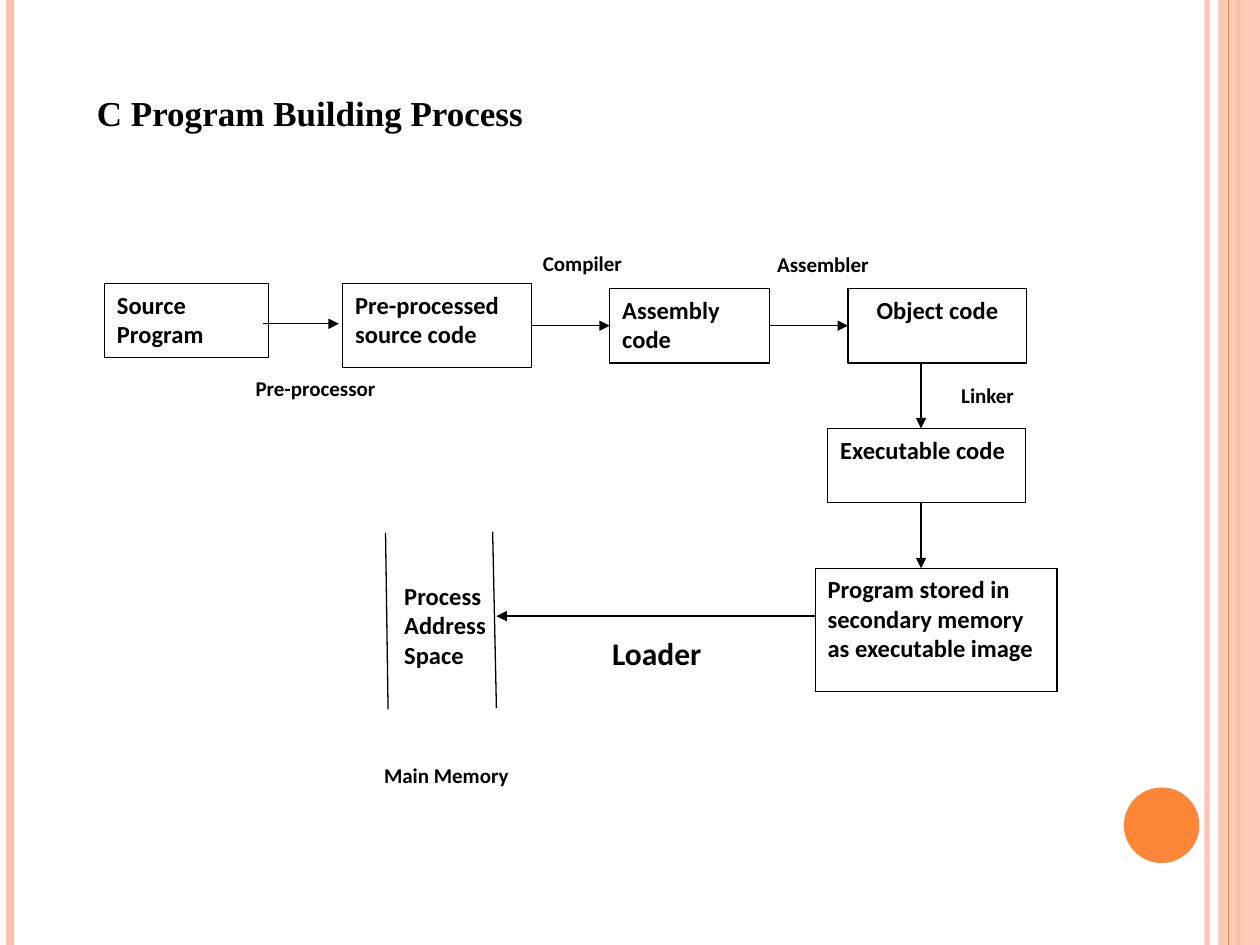
from lxml import etree
from pptx import Presentation
from pptx import util as u
from pptx.dml.color import RGBColor
from pptx.enum import shapes, text
from pptx.oxml import ns

BLACK = RGBColor(0x00, 0x00, 0x00)
WHITE = RGBColor(0xFF, 0xFF, 0xFF)
PEACH = RGBColor(0xFE, 0xC3, 0xAE)
ORANGE = RGBColor(0xFE, 0x86, 0x37)

deck = Presentation()
deck.slide_width = u.Inches(10)
deck.slide_height = u.Inches(7.5)
slide = deck.slides.add_slide(deck.slide_layouts[6])
COLS, ROWS = 100, 75
COL = deck.slide_width // COLS
ROW = deck.slide_height // ROWS


def rule(x, y, right, low, color=BLACK, width=0.75, head=False):
    line = slide.shapes.add_connector(
        shapes.MSO_CONNECTOR.STRAIGHT,
        int(x * COL), int(y * ROW), int(right * COL), int(low * ROW))
    line.line.color.rgb = color
    line.line.width = u.Pt(width)
    etree.SubElement(line._element.spPr, ns.qn("a:effectLst"))
    if head:
        tail = etree.SubElement(line.line._get_or_add_ln(), ns.qn("a:tailEnd"))
        tail.set("type", "triangle")
    return line


def write(shape, words, size, font="Calibri"):
    frame = shape.text_frame
    frame.word_wrap = True
    frame.vertical_anchor = text.MSO_ANCHOR.TOP
    para = frame.paragraphs[0]
    para.alignment = text.PP_ALIGN.LEFT
    run = para.add_run()
    run.text = words
    run.font.size = u.Pt(size)
    run.font.name = font
    run.font.bold = True
    run.font.color.rgb = BLACK
    return frame


edge = rule(95.8, 0, 95.8, ROWS, PEACH, 3)
rule(0.8, 0, 0.8, ROWS, PEACH, 4.5)
rule(98.3, 0, 98.3, ROWS, ORANGE, 1.5)

band = slide.shapes.add_shape(
    shapes.MSO_SHAPE.RECTANGLE, int(96.7 * COL), 0, int(3.3 * COL), ROWS * ROW)
band.fill.solid()
band.fill.fore_color.rgb = PEACH
band.line.fill.background()
band.shadow.inherit = False

for part, share in ((edge, 93), (band, 87)):
    tone = part._element.spPr.find(".//" + ns.qn("a:srgbClr"))
    etree.SubElement(tone, ns.qn("a:alpha")).set("val", str(share * 1000))

rule(97.5, 0, 97.5, ROWS, ORANGE)
disc = slide.shapes.add_shape(
    shapes.MSO_SHAPE.OVAL, int(89.2 * COL), int(62.5 * ROW), 6 * COL, 6 * ROW)
disc.fill.solid()
disc.fill.fore_color.rgb = ORANGE
disc.line.fill.background()
disc.shadow.inherit = False

STEPS = (
    ("Source Program", 8.3, 22.5, 13, 5.9),
    ("Pre-processed source code", 27.2, 22.5, 15, 6.7),
    ("Assembly code", 48.4, 22.9, 12.7, 5.9),
    ("Object code", 67.3, 22.9, 14.2, 5.9),
    ("Executable code", 65.7, 34, 15.7, 5.9),
    ("Program stored in secondary memory as executable image",
     64.7, 45.1, 19.2, 9.8),
)
boxes = {}
for words, x, y, wide, high in STEPS:
    box = slide.shapes.add_shape(
        shapes.MSO_SHAPE.RECTANGLE,
        int(x * COL), int(y * ROW), int(wide * COL), int(high * ROW))
    box.fill.solid()
    box.fill.fore_color.rgb = WHITE
    box.line.color.rgb = BLACK
    box.line.width = u.Pt(0.75)
    box.shadow.inherit = False
    write(box, words, 14)
    boxes[words] = box
boxes["Object code"].text_frame.paragraphs[0].alignment = text.PP_ALIGN.CENTER

rule(20.9, 25.7, 26.9, 25.7, head=True)
chain = ("Pre-processed source code", "Assembly code", "Object code")
for start, end in zip(chain, chain[1:]):
    arrow = rule(42.2, 25.8, 48.4, 25.8, head=True)
    arrow.begin_connect(boxes[start], 3)
    arrow.end_connect(boxes[end], 1)
for top in (28.8, 39.9):
    rule(73.1, top, 73.1, top + 5.2, head=True)
rule(64.7, 48.9, 39.4, 48.9, head=True)
rule(30.6, 42.3, 30.8, 56.3)
rule(39.1, 42.2, 39.4, 56.2)

LABELS = (
    ("Process Address Space", 31.1, 45.6, 9.2, 7.2, 14),
    ("Main Memory", 29.5, 60, 15.7, 4, 12),
    ("Loader", 47.6, 49.8, 11.1, 2.8, 18),
    ("Pre-processor", 19.3, 29.3, 15.6, 2.6, 12),
    ("Compiler", 42.1, 19.4, 10.9, 5.2, 12),
    ("Assembler", 60.7, 19.5, 13.7, 3.8, 12),
    ("Linker", 75.3, 29.9, 10.9, 3.7, 12),
    ("C Program Building Process", 6.7, 6.8, 81.1, 4.4, 20),
)
for words, x, y, wide, high, size in LABELS:
    note = slide.shapes.add_textbox(
        int(x * COL), int(y * ROW), int(wide * COL), int(high * ROW))
    write(note, words, size, "Times New Roman" if size == 20 else "Calibri")

deck.save("out.pptx")
